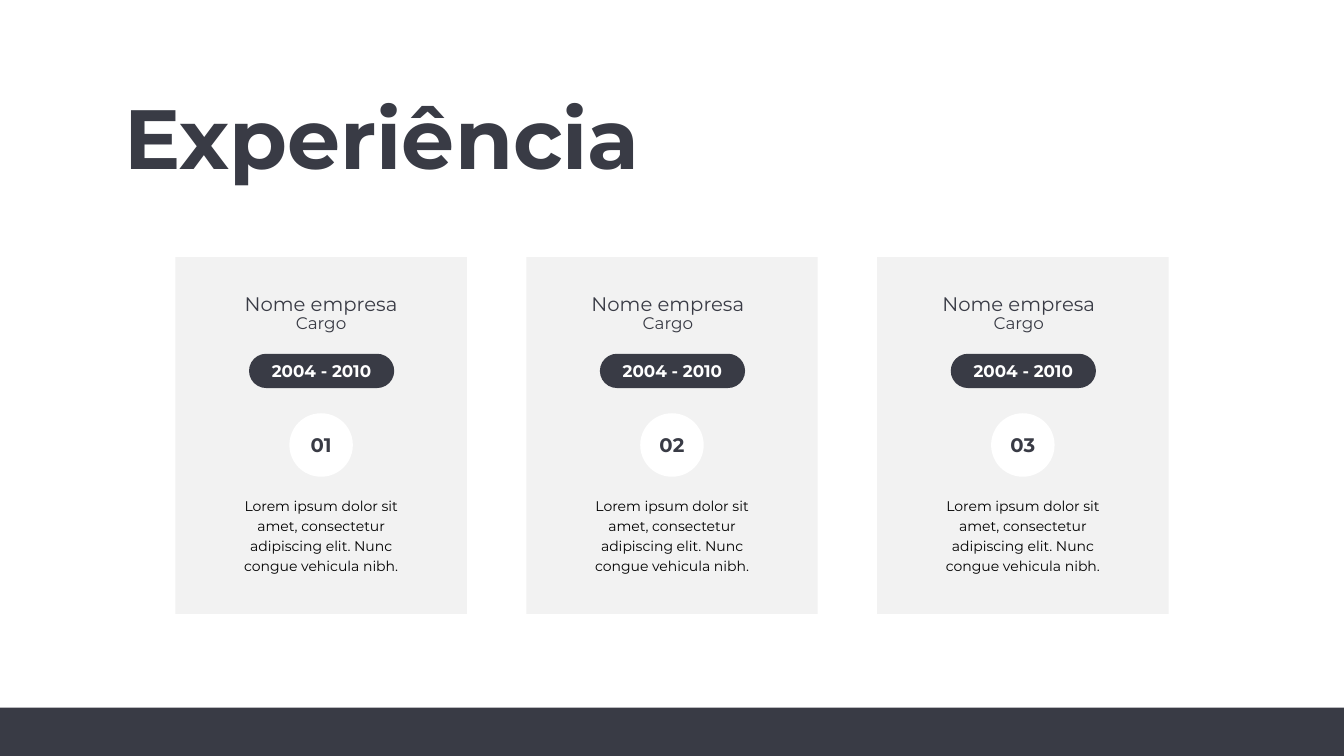
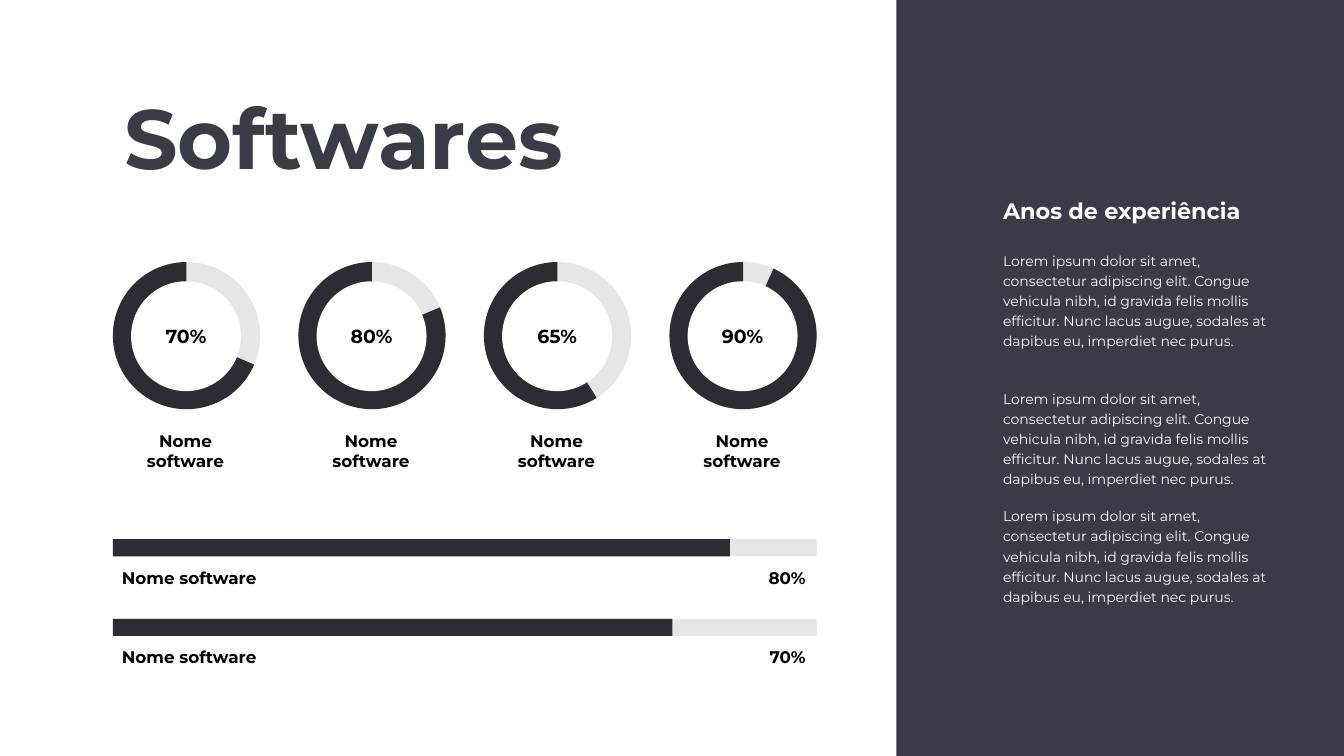
import pptx
import pptx.dml.color
import pptx.enum.shapes
import pptx.enum.text
import pptx.util

Inches = pptx.util.Inches
Pt = pptx.util.Pt
SHAPE = pptx.enum.shapes.MSO_SHAPE
ALIGN = pptx.enum.text.PP_ALIGN
ANCHOR = pptx.enum.text.MSO_ANCHOR

COLORS = {
    "slate": "393B45",
    "ink": "2B2C34",
    "card": "F2F2F2",
    "track": "E7E6E6",
    "white": "FFFFFF",
    "black": "000000",
}
FONT = "Montserrat"
SLIDE_WIDTH, SLIDE_HEIGHT = 13.33, 7.5

CARD_TEXT = "Lorem ipsum dolor sit amet, consectetur adipiscing elit. Nunc congue vehicula nibh."
PANEL_TEXT = (
    "Lorem ipsum dolor sit amet, consectetur adipiscing elit. Congue vehicula nibh, "
    "id gravida felis mollis efficitur. Nunc lacus augue, sodales at dapibus eu, "
    "imperdiet nec purus."
)


def rgb(name):
    """Return the named palette colour."""
    return pptx.dml.color.RGBColor.from_string(COLORS[name])


def style(para, size, color, bold=False, align=ALIGN.LEFT, spacing=None):
    """Format one paragraph."""
    para.alignment = align
    para.line_spacing = spacing
    para.font.name = FONT
    para.font.size = Pt(size)
    para.font.bold = bold
    para.font.color.rgb = rgb(color)


def add_block(page, kind, left, top, width, height, fill):
    """Add a flat filled shape without outline or shadow."""
    block = page.shapes.add_shape(
        kind, Inches(left), Inches(top), Inches(width), Inches(height))
    block.shadow.inherit = False
    block.fill.solid()
    block.fill.fore_color.rgb = rgb(fill)
    block.line.fill.background()
    return block


def label_block(block, text, size, color, wrap=True):
    """Write a bold centred label inside a shape."""
    frame = block.text_frame
    frame.word_wrap = wrap
    frame.vertical_anchor = ANCHOR.MIDDLE
    frame.text = text
    style(frame.paragraphs[0], size, color, True, ALIGN.CENTER)


def add_text(page, left, top, width, height, text, size, color, **options):
    """Add a wrapping text box, one paragraph per line of text."""
    box = page.shapes.add_textbox(
        Inches(left), Inches(top), Inches(width), Inches(height))
    frame = box.text_frame
    frame.word_wrap = True
    frame.text = text
    for para in frame.paragraphs:
        style(para, size, color, **options)
    return frame


def add_page(deck, title, title_width):
    """Add a title-only slide with the shared title style."""
    page = deck.slides.add_slide(deck.slide_layouts[5])
    box = page.shapes.title
    box.left, box.top = Inches(1.13), Inches(0.83)
    box.width, box.height = Inches(title_width), Inches(1.08)
    frame = box.text_frame
    frame.text = title
    frame.vertical_anchor = ANCHOR.TOP
    frame.auto_size = pptx.enum.text.MSO_AUTO_SIZE.NONE
    style(frame.paragraphs[0], 60, "slate", True, spacing=Pt(70))
    return page


def add_job_card(page, left, top, number, name_inset):
    """Add one job card with company, role, years, number and text."""
    add_block(page, SHAPE.RECTANGLE, left, top, 2.89, 3.54, "card")
    for text, offset, size in (("Nome empresa", 0.3, 14), ("Cargo", 0.5, 12)):
        add_text(page, left + name_inset, top + offset, 2.23, 0.34,
                 text, size, "slate", align=ALIGN.CENTER)
    pill = add_block(page, SHAPE.ROUNDED_RECTANGLE,
                     left + 0.73, top + 0.96, 1.44, 0.34, "slate")
    pill.adjustments[0] = 0.5
    label_block(pill, "2004 - 2010", 12, "white")
    badge = add_block(page, SHAPE.OVAL, left + 1.13, top + 1.55, 0.63, 0.63, "white")
    label_block(badge, number, 14, "slate", wrap=False)
    add_text(page, left + 0.37, top + 2.3, 2.15, 0.94, CARD_TEXT, 10, "black",
             align=ALIGN.CENTER, spacing=1.2)


def add_ring(page, left, top, percent, start_angle):
    """Add a progress ring filled clockwise from start_angle to twelve o'clock."""
    add_block(page, SHAPE.OVAL, left, top, 1.46, 1.46, "track")
    arc = add_block(page, SHAPE.PIE, left, top, 1.46, 1.46, "ink")
    for index, angle in enumerate((start_angle, 270)):
        arc.adjustments[index] = angle * 0.6
    hole = add_block(page, SHAPE.OVAL, left + 0.18, top + 0.19, 1.09, 1.09, "white")
    label_block(hole, percent, 13.5, "black")
    add_text(page, left - 0.01, top + 1.62, 1.46, 0.5, "Nome software", 12, "black",
             bold=True, align=ALIGN.CENTER)


def add_bar(page, left, top, percent, filled_width):
    """Add a progress bar with its name and percentage below."""
    for width, fill in ((6.98, "track"), (filled_width, "ink")):
        add_block(page, SHAPE.RECTANGLE, left, top, width, 0.17, fill)
    add_text(page, left - 0.01, top + 0.23, 2.45, 0.3, "Nome software", 12, "black",
             bold=True)
    add_text(page, left + 6.23, top + 0.23, 0.74, 0.3, percent, 12, "black",
             bold=True, align=ALIGN.RIGHT)


def add_side_panel(page, left, width):
    """Add the dark panel with heading and three paragraphs."""
    add_block(page, SHAPE.RECTANGLE, left, 0, width, SLIDE_HEIGHT, "slate")
    add_text(page, left + 0.96, 1.91, 2.66, 0.37, "Anos de experiência", 16, "white",
             bold=True)
    frame = add_text(page, left + 0.96, 2.42, 2.9, 3.75, "\n".join([PANEL_TEXT] * 3),
                     10, "white", spacing=1.2)
    for para, gap in zip(frame.paragraphs[1:], (26.5, 12)):
        para.space_before = Pt(gap)


def build_experience(deck):
    """Build the slide of three job cards."""
    page = add_page(deck, "Experiência", 5.55)
    add_block(page, SHAPE.RECTANGLE, 0, 7.02, SLIDE_WIDTH, 0.48, "slate")
    for index, name_inset in enumerate((0.33, 0.29, 0.29)):
        add_job_card(page, 1.74 + index * 3.48, 2.55, f"{index + 1:02}", name_inset)


def build_software(deck):
    """Build the slide of rings, bars and side panel."""
    page = add_page(deck, "Softwares", 7.75)
    add_side_panel(page, 8.89, 4.44)
    rings = (("70%", 23.19), ("80%", 337.43), ("65%", 57.8), ("90%", 294.45))
    for index, (percent, start_angle) in enumerate(rings):
        add_ring(page, 1.12 + index * 1.84, 2.6, percent, start_angle)
    for index, (percent, filled_width) in enumerate((("80%", 6.12), ("70%", 5.55))):
        add_bar(page, 1.12, 5.35 + index * 0.79, percent, filled_width)


def main():
    """Build and save the deck."""
    deck = pptx.Presentation()
    deck.slide_width = Inches(SLIDE_WIDTH)
    deck.slide_height = Inches(SLIDE_HEIGHT)
    build_experience(deck)
    build_software(deck)
    deck.save("out.pptx")


if __name__ == "__main__":
    main()
